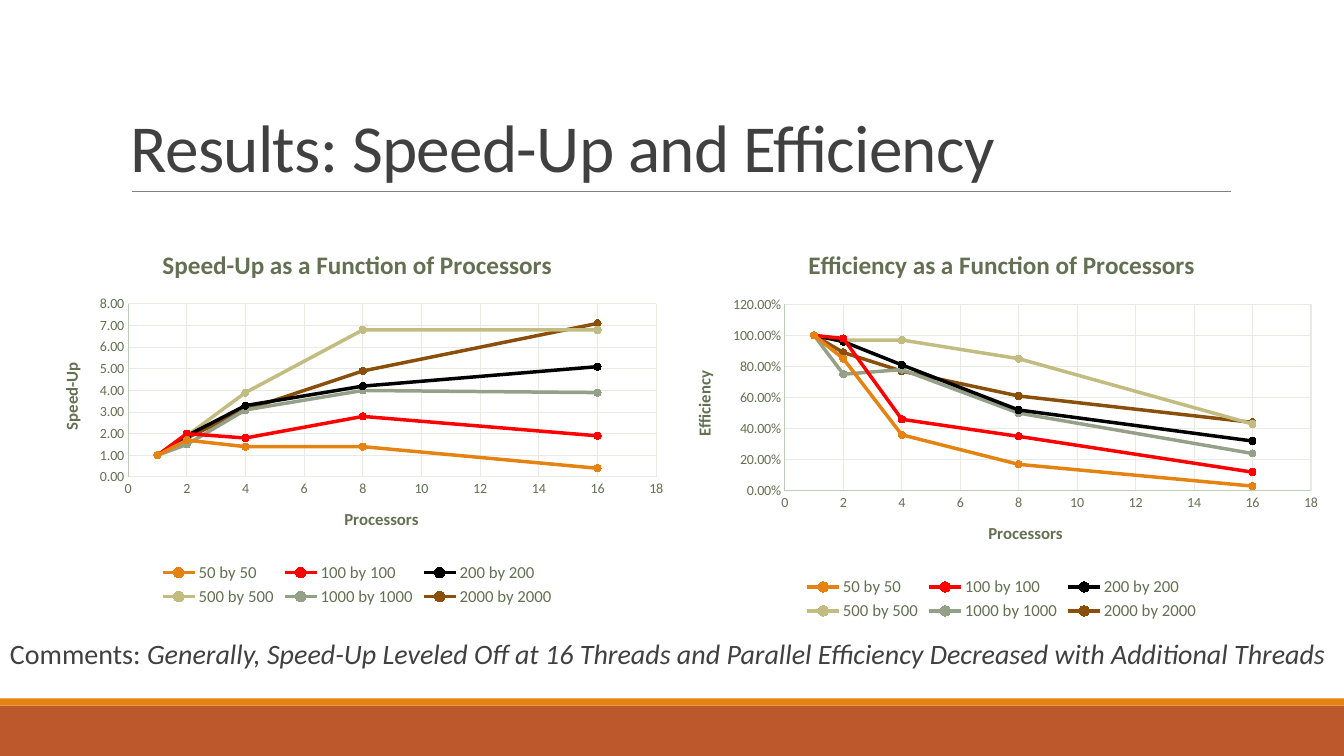
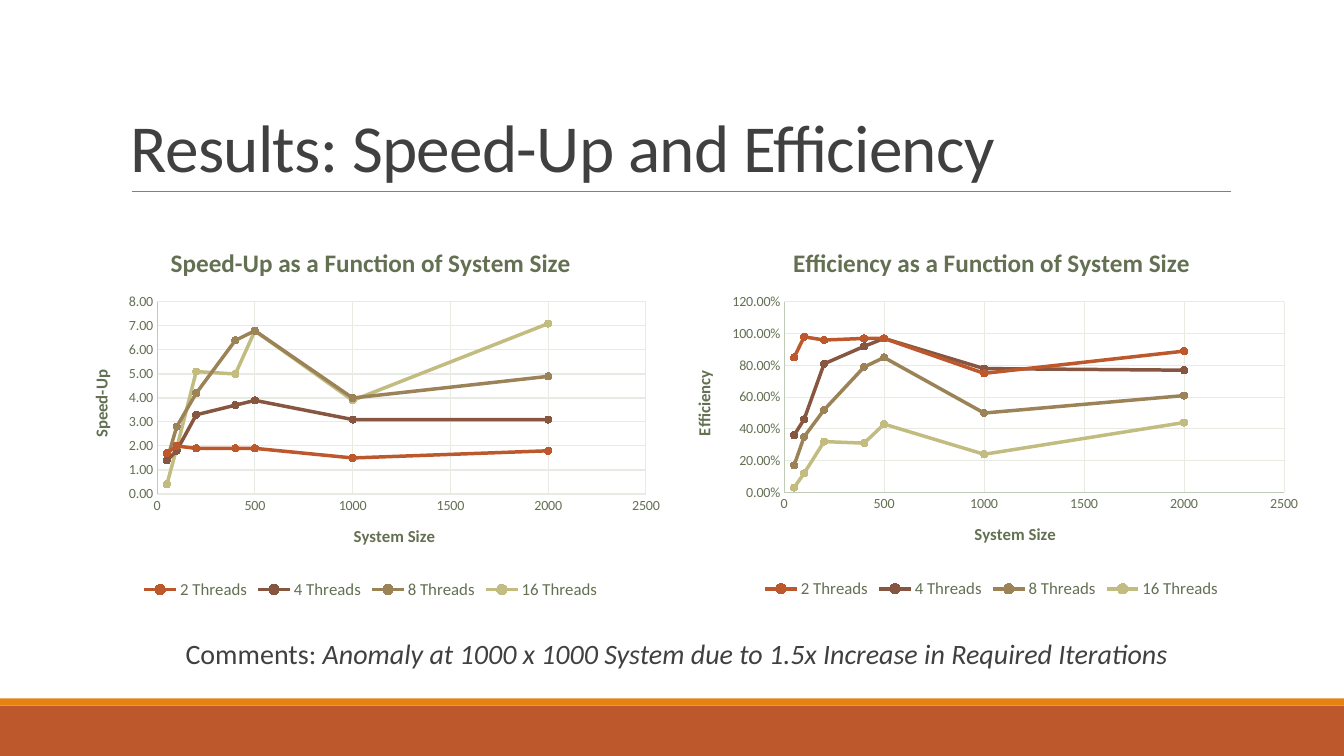
"""Build two slides comparing speed-up and efficiency by processors and by system size."""
from dataclasses import dataclass

from lxml.etree import SubElement
from pptx import Presentation
from pptx.chart.data import XyChartData
from pptx.dml.color import RGBColor
from pptx.enum.chart import XL_CHART_TYPE, XL_LEGEND_POSITION, XL_MARKER_STYLE, XL_TICK_MARK
from pptx.enum.shapes import MSO_CONNECTOR, MSO_SHAPE
from pptx.enum.text import MSO_ANCHOR, PP_ALIGN
from pptx.oxml import parse_xml
from pptx.oxml.ns import nsdecls, qn
from pptx.util import Cm, Pt


@dataclass(frozen=True)
class Theme:
    font: str = "Calibri"
    text: str = "404040"
    chart_text: str = "637052"
    rule: str = "808080"
    band: str = "BD582C"
    stripe: str = "E48312"
    axis: str = "C1CAB6"
    grid: str = "E8EBE4"
    title_size: int = 48
    comment_size: int = 20
    chart_title_size: int = 18
    label_size: int = 12
    tick_size: int = 10


T = Theme()
WIDTH, HEIGHT = 33.87, 19.05
TITLE = "Results: Speed-Up and Efficiency"

MATRIX_COLORS = {
    "50 by 50": "E48312", "100 by 100": "FF0000", "200 by 200": "000000",
    "500 by 500": "C2BC80", "1000 by 1000": "94A088", "2000 by 2000": "894F0B",
}
THREAD_COLORS = {
    "2 Threads": "BD582C", "4 Threads": "865640",
    "8 Threads": "9B8357", "16 Threads": "C2BC80",
}
MEASURES = {
    "Speed-Up": dict(top=8, step=1, fmt="0.00", base=T.grid),
    "Efficiency": dict(top=1.2, step=0.2, fmt="0.00%", base=T.axis),
}
SLIDES = [
    dict(
        variable="Processors", x=[1, 2, 4, 8, 16], x_top=18, x_step=2, colors=MATRIX_COLORS,
        comment="Generally, Speed-Up Leveled Off at 16 Threads and Parallel Efficiency "
                "Decreased with Additional Threads",
        align=PP_ALIGN.LEFT,
        charts={
            "Speed-Up": dict(
                box=(0.99, 5.79, 16.03, 9.6), plot=(3.23, 7.66, 13.31, 4.36),
                rows=[[1, 1.7, 1.4, 1.4, 0.4], [1, 2, 1.8, 2.8, 1.9], [1, 1.9, 3.3, 4.2, 5.1],
                      [1, 1.9, 3.9, 6.8, 6.8], [1, 1.5, 3.1, 4, 3.9], [1, 1.8, 3.1, 4.9, 7.1]]),
            "Efficiency": dict(
                box=(16.94, 5.79, 16.61, 9.96), plot=(19.78, 7.67, 13.26, 4.7),
                rows=[[1, 0.85, 0.36, 0.17, 0.03], [1, 0.98, 0.46, 0.35, 0.12],
                      [1, 0.96, 0.81, 0.52, 0.32], [1, 0.97, 0.97, 0.85, 0.43],
                      [1, 0.75, 0.78, 0.5, 0.24], [1, 0.89, 0.77, 0.61, 0.44]]),
        }),
    dict(
        variable="System Size", x=[50, 100, 200, 400, 500, 1000, 2000], x_top=2500, x_step=500,
        colors=THREAD_COLORS,
        comment="Anomaly at 1000 x 1000 System due to 1.5x Increase in Required Iterations",
        align=PP_ALIGN.CENTER,
        charts={
            "Speed-Up": dict(
                box=(1.75, 5.74, 15.19, 9.47), plot=(3.96, 7.61, 12.32, 4.84),
                rows=[[1.7, 2, 1.9, 1.9, 1.9, 1.5, 1.8], [1.4, 1.8, 3.3, 3.7, 3.9, 3.1, 3.1],
                      [1.4, 2.8, 4.2, 6.4, 6.8, 4, 4.9], [0.4, 1.9, 5.1, 5, 6.8, 3.9, 7.1]]),
            "Efficiency": dict(
                box=(16.94, 5.74, 16.1, 9.45), plot=(19.76, 7.61, 12.6, 4.8),
                rows=[[0.85, 0.98, 0.96, 0.97, 0.97, 0.75, 0.89],
                      [0.36, 0.46, 0.81, 0.92, 0.97, 0.78, 0.77],
                      [0.17, 0.35, 0.52, 0.79, 0.85, 0.5, 0.61],
                      [0.03, 0.12, 0.32, 0.31, 0.43, 0.24, 0.44]]),
        }),
]


def rgb(color):
    return RGBColor.from_string(color)


def set_font(font, size, color, bold=False, italic=False):
    font.name, font.size, font.bold, font.italic = T.font, Pt(size), bold, italic
    font.color.rgb = rgb(color)


def add_text(p, text, size, color=T.text, spacing=None, **style):
    r = p.add_run()
    r.text = text
    set_font(r.font, size, color, **style)
    if spacing:
        r.font._element.set("spc", str(spacing))


def set_line(line, color, width=0.75):
    line.color.rgb = rgb(color)
    line.width = Pt(width)


def add_frame(s, box, inset, anchor, line_spacing):
    tf = s.shapes.add_textbox(*map(Cm, box)).text_frame
    tf.word_wrap = True
    tf.vertical_anchor = anchor
    tf.margin_left = tf.margin_right = Cm(inset)
    p = tf.paragraphs[0]
    p.line_spacing = line_spacing
    return p


def add_base(s):
    for top, height, color in ((17.78, 1.27, T.band), (17.6, 0.18, T.stripe)):
        bar = s.shapes.add_shape(MSO_SHAPE.RECTANGLE, 0, Cm(top), Cm(WIDTH), Cm(height))
        bar.shadow.inherit = False
        bar.fill.solid()
        bar.fill.fore_color.rgb = rgb(color)
        bar.line.fill.background()
    rule = s.shapes.add_connector(MSO_CONNECTOR.STRAIGHT, Cm(3.32), Cm(4.82), Cm(31.01), Cm(4.82))
    set_line(rule.line, T.rule, 0.5)
    SubElement(rule._element.spPr, qn("a:effectLst"))
    p = add_frame(s, (3.05, 0.79, 27.94, 4.03), 0.25, MSO_ANCHOR.BOTTOM, 0.85)
    add_text(p, TITLE, T.title_size, spacing=-50)


def add_comment(s, comment, align):
    p = add_frame(s, (0, 16, WIDTH, 1.12), 0, MSO_ANCHOR.TOP, 0.9)
    p.alignment = align
    p._p.get_or_add_pPr().set("marL", str(Cm(0.25)))
    add_text(p, "Comments: ", T.comment_size)
    add_text(p, comment, T.comment_size, italic=True)


def format_axis(axis, title, top, step, fmt, color):
    axis.minimum_scale, axis.maximum_scale, axis.major_unit = 0, top, step
    axis.major_tick_mark = axis.minor_tick_mark = XL_TICK_MARK.NONE
    axis.has_major_gridlines = True
    set_line(axis.major_gridlines.format.line, T.grid)
    set_line(axis.format.line, color)
    set_font(axis.tick_labels.font, T.tick_size, T.chart_text)
    axis.tick_labels.number_format = fmt
    axis.tick_labels.number_format_is_linked = False
    add_text(axis.axis_title.text_frame.paragraphs[0], title, T.label_size, T.chart_text, bold=True)


def place_plot(chart, box, plot):
    left, top, width, height = box
    parts = dict(x=(plot[0] - left) / width, y=(plot[1] - top) / height,
                 w=plot[2] / width, h=plot[3] / height)
    modes = "".join(f'<c:{k}Mode val="edge"/>' for k in "xy")
    sizes = "".join(f'<c:{k} val="{v:.4f}"/>' for k, v in parts.items())
    area = chart.element.find(".//" + qn("c:plotArea"))
    for old in area.findall(qn("c:layout")):
        area.remove(old)
    area.insert(0, parse_xml(
        f'<c:layout {nsdecls("c")}><c:manualLayout><c:layoutTarget val="inner"/>'
        f'{modes}{sizes}</c:manualLayout></c:layout>'))


def add_curves(s, slide, measure, box, plot, rows):
    data = XyChartData()
    for name, row in zip(slide["colors"], rows):
        series = data.add_series(name)
        for x, y in zip(slide["x"], row):
            series.add_data_point(x, y)
    chart = s.shapes.add_chart(XL_CHART_TYPE.XY_SCATTER_SMOOTH, *map(Cm, box), data).chart
    set_font(chart.font, T.tick_size, T.chart_text)
    chart.has_title = True
    add_text(chart.chart_title.text_frame.paragraphs[0],
             f"{measure} as a Function of {slide['variable']}",
             T.chart_title_size, T.chart_text, bold=True)
    chart.has_legend = True
    chart.legend.position = XL_LEGEND_POSITION.BOTTOM
    chart.legend.include_in_layout = False
    set_font(chart.legend.font, T.label_size, T.chart_text)
    m = MEASURES[measure]
    format_axis(chart.category_axis, slide["variable"], slide["x_top"], slide["x_step"],
                "General", m["base"])
    format_axis(chart.value_axis, measure, m["top"], m["step"], m["fmt"], T.axis)
    chart.plots[0].vary_by_categories = False
    for series, color in zip(chart.plots[0].series, slide["colors"].values()):
        series.smooth = True
        set_line(series.format.line, color, 2.5)
        series.marker.style = XL_MARKER_STYLE.CIRCLE
        series.marker.size = 5
        series.marker.format.fill.solid()
        series.marker.format.fill.fore_color.rgb = rgb(color)
        set_line(series.marker.format.line, color)
    place_plot(chart, box, plot)


def main():
    prs = Presentation()
    prs.slide_width, prs.slide_height = Cm(WIDTH), Cm(HEIGHT)
    for slide in SLIDES:
        s = prs.slides.add_slide(prs.slide_layouts[6])
        add_base(s)
        for measure, chart in slide["charts"].items():
            add_curves(s, slide, measure, **chart)
        add_comment(s, slide["comment"], slide["align"])
    prs.save("out.pptx")


if __name__ == "__main__":
    main()
